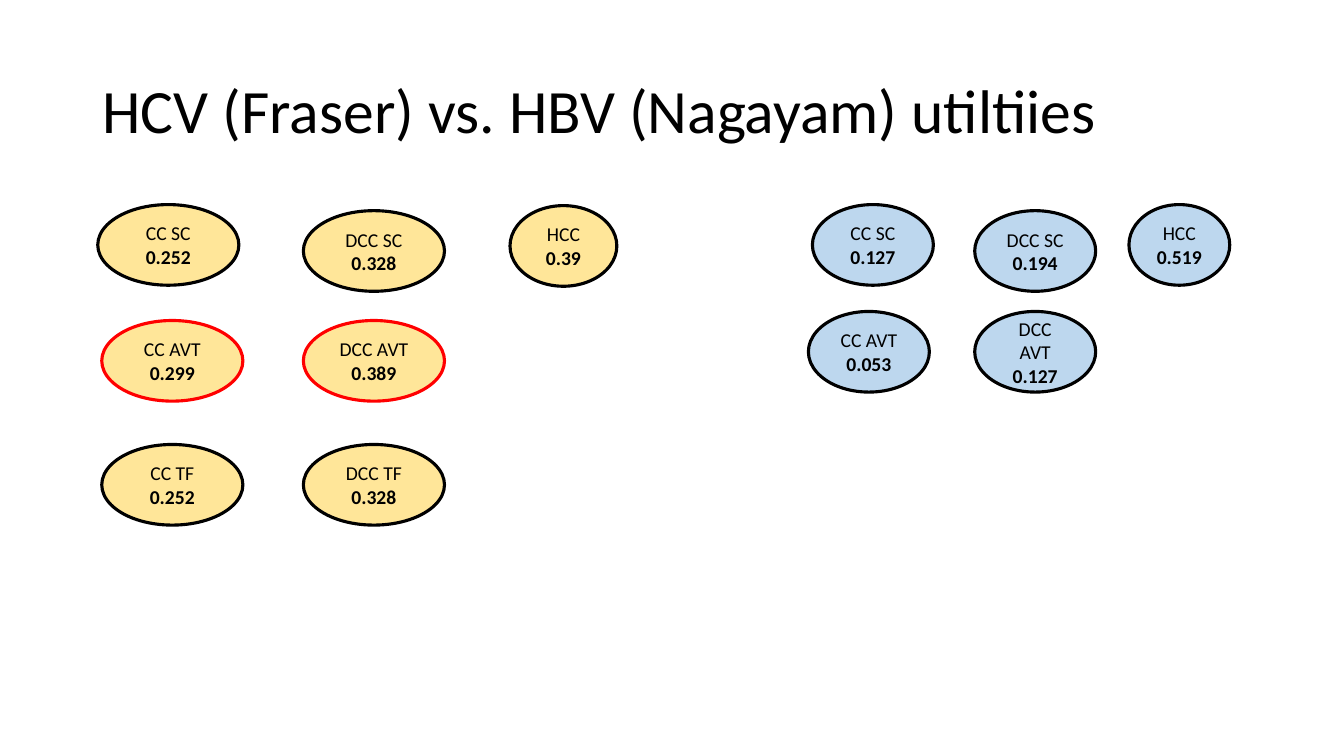
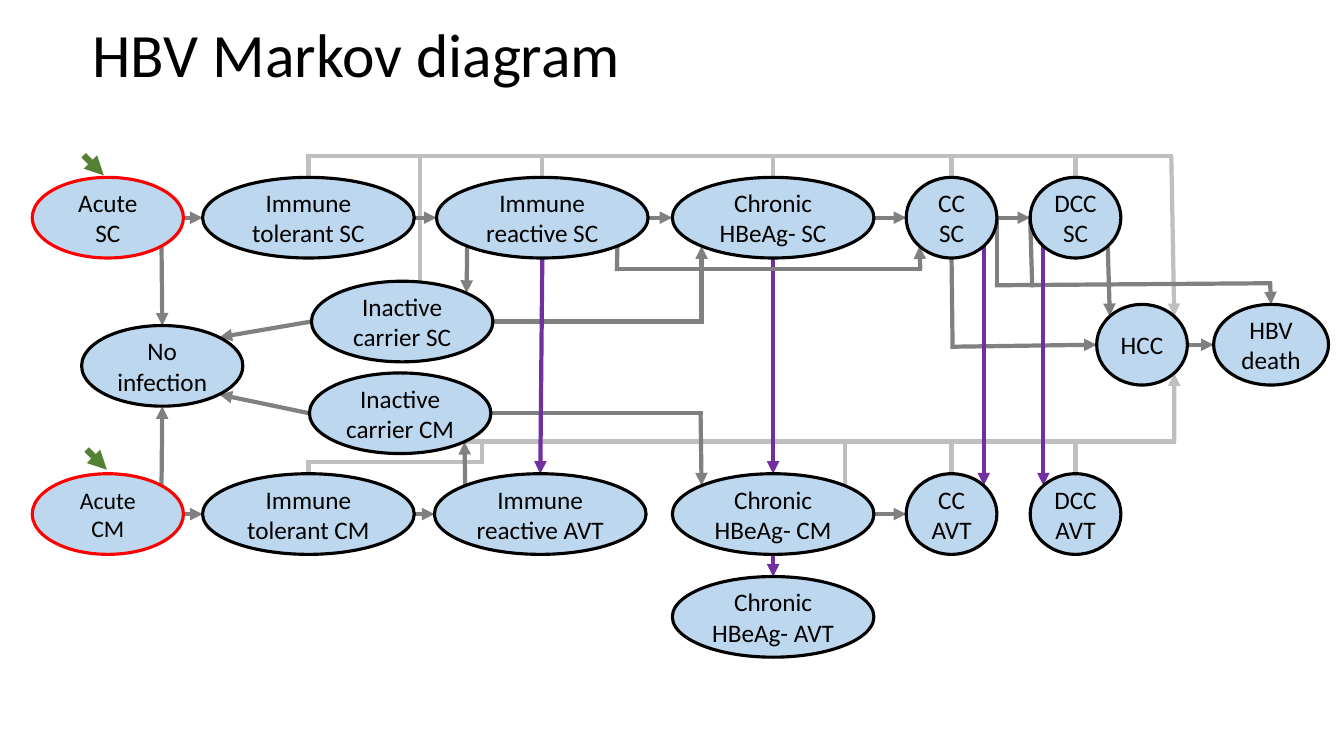
from lxml.etree import SubElement
from pptx import Presentation
from pptx.dml.color import RGBColor
from pptx.enum.shapes import MSO_CONNECTOR as LINK, MSO_SHAPE as SHAPE
from pptx.enum.text import MSO_ANCHOR as ANCHOR, PP_ALIGN as ALIGN
from pptx.oxml.ns import qn
from pptx.util import Inches, Pt

COLORS = {name: RGBColor.from_string(code) for name, code in {
    "black": "000000", "red": "FF0000", "cream": "FFE699", "sky": "BDD7EE",
    "silver": "BFBFBF", "gray": "808080", "purple": "7030A0", "green": "548235",
}.items()}
FONT = "Calibri"
WIDTH, HEIGHT = Inches(13.333), Inches(7.5)
GRID = HEIGHT / 75  # 75 rows; columns have the same size
STATE_HEIGHT = 8


def write(box, paragraphs, size, align, spacing=1.0):
    """Fill a shape with paragraphs, each a list of (text, bold) spans."""
    frame = box.text_frame
    frame.word_wrap = True
    frame.vertical_anchor = ANCHOR.MIDDLE
    for index, spans in enumerate(paragraphs):
        para = frame.add_paragraph() if index else frame.paragraphs[0]
        para.alignment, para.line_spacing = align, spacing
        for text, bold in spans:
            span = para.add_run()
            span.text = text
            for key, value in {"name": FONT, "size": Pt(size), "bold": bold}.items():
                setattr(span.font, key, value)
            span.font.color.rgb = COLORS["black"]


def draw_state(page, left, top, width, paragraphs, size, fill, outline):
    state = page.shapes.add_shape(
        SHAPE.OVAL, *(round(n * GRID) for n in (left, top, width, STATE_HEIGHT)))
    state.shadow.inherit = False
    state.fill.solid()
    state.fill.fore_color.rgb = COLORS[fill]
    state.line.color.rgb = COLORS[outline]
    state.line.width = Pt(2.25)
    write(state, paragraphs, size, ALIGN.CENTER)


deck = Presentation()
deck.slide_width, deck.slide_height = WIDTH, HEIGHT
pages = []
for title, left, top, height in [
    ("HCV (Fraser) vs. HBV (Nagayam) utiltiies", 9.2, 4, 14.5),
    ("HBV Markov diagram", 8.2, 0.9, 9.6),
]:
    page = deck.slides.add_slide(deck.slide_layouts[6])
    box = page.shapes.add_textbox(*(round(n * GRID) for n in (left, top, 115, height)))
    write(box, [[(title, False)]], 44, ALIGN.LEFT, 0.9)
    pages.append(page)
utilities_page, markov_page = pages

# Utilities: label, value, left, top, width, outline
utilities = {
    "cream": [
        ("CC SC", "0.252", 9.7, 20.3, 14, "black"),
        ("DCC SC", "0.328", 30.1, 20.9, 14, "black"),
        ("HCC", "0.39", 50.6, 20.4, 10.6, "black"),
        ("CC AVT", "0.299", 10.1, 31.8, 14, "red"),
        ("DCC AVT", "0.389", 30.1, 31.8, 14, "red"),
        ("CC TF", "0.252", 10.1, 44.1, 14, "black"),
        ("DCC TF", "0.328", 30.1, 44.1, 14, "black"),
    ],
    "sky": [
        ("CC SC", "0.127", 80.6, 20.3, 12, "black"),
        ("DCC SC", "0.194", 96.7, 20.9, 12, "black"),
        ("HCC", "0.519", 112, 20.3, 10, "black"),
        ("CC AVT", "0.053", 80.2, 30.9, 12, "black"),
        ("DCC AVT", "0.127", 96.7, 30.9, 12, "black"),
    ],
}
for fill, states in utilities.items():
    for label, value, left, top, width, outline in states:
        spans = [(label + " ", False), (value, True)]
        draw_state(utilities_page, left, top, width, [spans], 14, fill, outline)

# Markov states: left, top, width
SC_ROW, CM_ROW, END_ROW = 17.6, 47, 30.2
states = {
    "Acute SC": (3.2, SC_ROW, 15),
    "Immune tolerant SC": (20.1, SC_ROW, 21),
    "Immune reactive SC": (43.3, SC_ROW, 21),
    "Chronic HBeAg- SC": (66.7, SC_ROW, 20),
    "CC SC": (89.9, SC_ROW, 9),
    "DCC SC": (102.2, SC_ROW, 9),
    "Inactive carrier SC": (30.9, 27.9, 18),
    "No infection": (8.1, 32.3, 16),
    "HCC": (108.8, END_ROW, 9),
    "HBV death": (120.4, END_ROW, 11.4),
    "Inactive carrier CM": (30.7, 37, 18),
    "Acute CM": (3.2, CM_ROW, 15),
    "Immune tolerant CM": (20.1, CM_ROW, 21),
    "Immune reactive AVT": (43.1, CM_ROW, 21),
    "Chronic HBeAg- CM": (66.7, CM_ROW, 20),
    "CC AVT": (89.9, CM_ROW, 9),
    "DCC AVT": (102.2, CM_ROW, 9),
    "Chronic HBeAg- AVT": (66.7, 57.2, 20),
}

# Points on each ellipse, by compass direction
DIAGONAL = 0.71
sites = {}
for name, (left, top, width) in states.items():
    for side in ("N", "NE", "E", "SE", "S", "SW", "W", "NW"):
        reach = DIAGONAL if len(side) == 2 else 1
        across = ("E" in side) - ("W" in side)
        down = ("S" in side) - ("N" in side)
        sites[name, side] = (left + width / 2 * (1 + reach * across),
                             top + STATE_HEIGHT / 2 * (1 + reach * down))

# Routes: colour, arrow at the end, stops (a state's side or a grid point)
UPPER_BUS, LOWER_BUS, DEATH_BUS = 15.5, 43.8, 28.3
routes = [
    ("silver", True, [("Immune tolerant SC", "N"), (30.6, UPPER_BUS),
                      (116.2, UPPER_BUS), ("HCC", "NE")]),
    ("silver", True, [(46, LOWER_BUS), (116.5, LOWER_BUS), ("HCC", "SE")]),
    ("silver", False, [("Immune tolerant CM", "N"), (30.6, 45.8),
                       (47.8, 45.8), (47.8, LOWER_BUS)]),
    ("silver", False, [(41.7, 28), (41.7, UPPER_BUS)]),
]
for bus, spurs in {
    UPPER_BUS: [("Immune reactive SC", "N"), ("Chronic HBeAg- SC", "N"),
                ("CC SC", "N"), ("DCC SC", "N")],
    LOWER_BUS: [("Chronic HBeAg- CM", "NE"), ("CC AVT", "N"), ("DCC AVT", "N")],
}.items():
    routes += [("silver", False, [spur, (sites[spur][0], bus)]) for spur in spurs]

routes += [
    ("green", True, [(8.3, 15.4), (10.3, 17.4)]),
    ("green", True, [(8.6, 44.6), (10.6, 46.6)]),
    ("purple", True, [("Chronic HBeAg- SC", "S"), ("Chronic HBeAg- CM", "N")]),
    ("purple", True, [("Chronic HBeAg- CM", "S"), ("Chronic HBeAg- AVT", "N")]),
]
for chain in [
    ["Acute SC", "Immune tolerant SC", "Immune reactive SC", "Chronic HBeAg- SC",
     "CC SC", "DCC SC"],
    ["Acute CM", "Immune tolerant CM", "Immune reactive AVT"],
    ["Chronic HBeAg- CM", "CC AVT"],
    ["HCC", "HBV death"],
]:
    routes += [("gray", True, [(source, "E"), (target, "W")])
               for source, target in zip(chain, chain[1:])]

routes += [
    ("gray", True, [("Acute SC", "SE"), ("No infection", "N")]),
    ("gray", True, [("Acute CM", "NE"), ("No infection", "S")]),
    ("gray", True, [("Immune reactive SC", "SW"), ("Inactive carrier SC", "NE")]),
    ("gray", True, [("Immune reactive AVT", "NW"), ("Inactive carrier CM", "SE")]),
    ("gray", True, [("Inactive carrier SC", "W"), ("No infection", "NE")]),
    ("gray", True, [("Inactive carrier CM", "W"), ("No infection", "SE")]),
    ("gray", True, [("Immune reactive SC", "SE"), (61.2, 26.7), (91.3, 26.7),
                    ("CC SC", "SW")]),
    ("gray", True, [("Inactive carrier SC", "E"), (69.6, 31.9),
                    ("Chronic HBeAg- SC", "SW")]),
    ("gray", True, [("Inactive carrier CM", "E"), (69.5, 41),
                    ("Chronic HBeAg- CM", "NW")]),
    ("gray", True, [("CC SC", "E"), (98.9, DEATH_BUS), (126, 28.1),
                    ("HBV death", "N")]),
    ("gray", False, [("DCC SC", "W"), (102.4, DEATH_BUS)]),
    ("gray", True, [("CC SC", "S"), (94.5, 34.4), ("HCC", "W")]),
    ("gray", True, [("DCC SC", "SE"), ("HCC", "NW")]),
    ("purple", True, [("Immune reactive SC", "S"), ("Immune reactive AVT", "N")]),
    ("purple", True, [("CC SC", "SE"), ("CC AVT", "NE")]),
    ("purple", True, [("DCC SC", "SW"), ("DCC AVT", "NW")]),
]
for color, arrow, stops in routes:
    points = [sites.get(stop, stop) for stop in stops]
    for leg, (start, end) in enumerate(zip(points, points[1:]), 1):
        link = markov_page.shapes.add_connector(
            LINK.STRAIGHT, *(round(n * GRID) for n in start + end))
        link.line.color.rgb = COLORS[color]
        link.line.width = Pt(4.5 if color == "green" else 3)
        properties = link._element.spPr
        outline = properties.find(qn("a:ln"))
        if arrow and leg == len(points) - 1:
            SubElement(outline, qn("a:tailEnd"), type="triangle")
        else:
            outline.set("cap", "sq")  # closes the corners of bent routes
        SubElement(properties, qn("a:effectLst"))

for name, (left, top, width) in states.items():
    acute = name.startswith("Acute")
    lines = name.split() if acute else [name]
    draw_state(markov_page, left, top, width, [[(line, False)] for line in lines],
               17 if name == "Acute CM" else 18, "sky", "red" if acute else "black")

deck.save("out.pptx")
